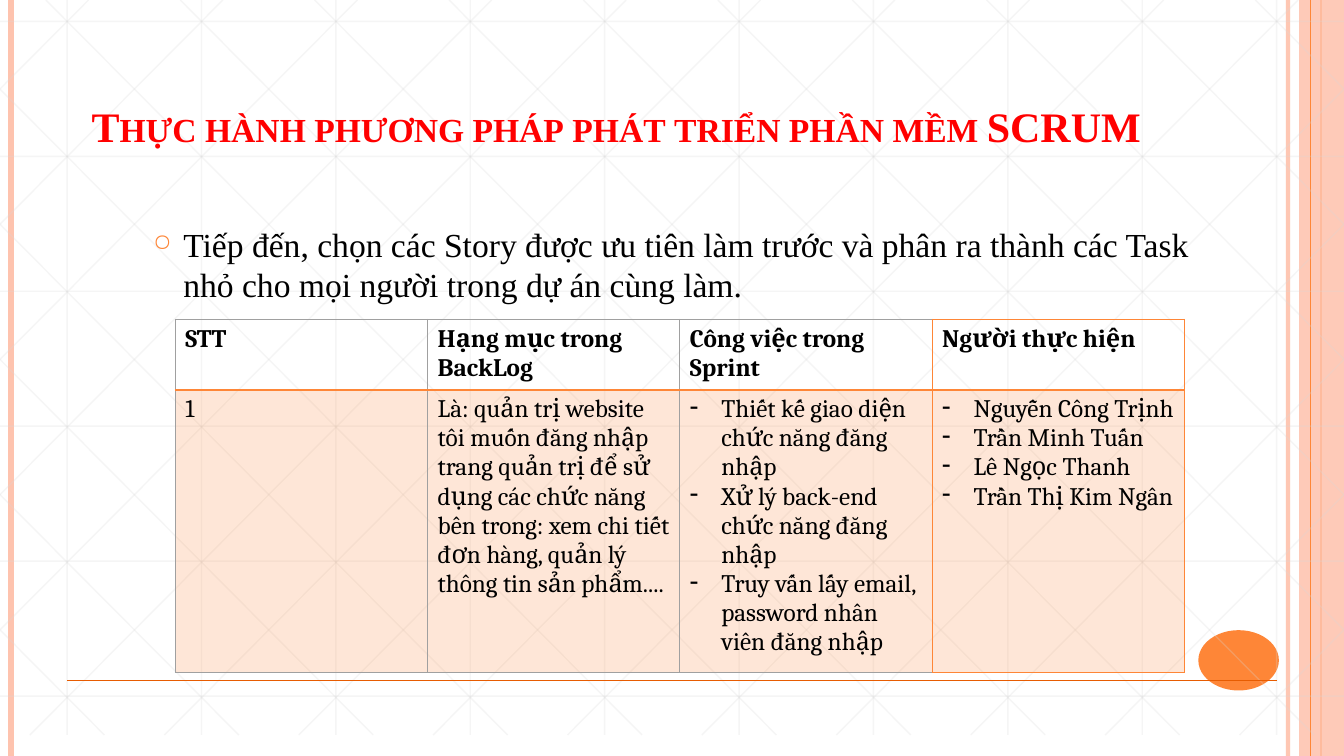
from dataclasses import dataclass

import pptx
import pptx.dml.color
import pptx.enum.shapes
import pptx.enum.text
import pptx.oxml
import pptx.oxml.ns
import pptx.util
from lxml import etree
from pptx.util import Cm, Pt

WIDTH, HEIGHT = 33.87, 19.05
ORANGE, PINK, GREY = "FE8637", "FEC3AE", "A0A0A0"
SERIF = "Times New Roman"
CELL_FONT = "Cambria"
qn = pptx.oxml.ns.qn


@dataclass
class Line:
    x1: float
    y1: float
    x2: float
    y2: float
    color: str
    width: float
    alpha: int = 100


@dataclass
class Block:
    kind: pptx.enum.shapes.MSO_SHAPE
    x: float
    y: float
    w: float
    h: float
    color: str
    alpha: int = 100


def rgb(color: str) -> pptx.dml.color.RGBColor:
    return pptx.dml.color.RGBColor.from_string(color)


def apply(obj, **values) -> None:
    for name, value in values.items():
        setattr(obj, name, value)


def set_alpha(parent, alpha: int) -> None:
    if alpha < 100:
        clr = next(parent.iter(qn("a:srgbClr")))
        etree.SubElement(clr, qn("a:alpha"), val=str(alpha * 1000))


def draw_line(s, line: Line) -> None:
    c = s.shapes.add_connector(
        pptx.enum.shapes.MSO_CONNECTOR.STRAIGHT,
        Cm(line.x1), Cm(line.y1), Cm(line.x2), Cm(line.y2))
    c.line.color.rgb = rgb(line.color)
    c.line.width = Pt(line.width)
    spPr = c._element.spPr
    set_alpha(spPr, line.alpha)
    etree.SubElement(spPr, qn("a:effectLst"))


def draw_block(s, block: Block) -> None:
    sp = s.shapes.add_shape(block.kind, Cm(block.x), Cm(block.y), Cm(block.w), Cm(block.h))
    sp.shadow.inherit = False
    sp.fill.solid()
    sp.fill.fore_color.rgb = rgb(block.color)
    sp.line.fill.background()
    set_alpha(sp._element.spPr, block.alpha)


def grid_lines() -> list[Line]:
    """Faint squares crossed by diagonals, cut at the slide edges."""
    step, bottom, slope = WIDTH / 10, 18.52, 1.006
    ends = [(1.69 + step * i, 0, 1.69 + step * i, bottom) for i in range(10)]
    ends += [(0, y, WIDTH, y) for y in (0.54 + 3.4 * i for i in range(6))]
    falling = []
    for i in range(-5, 10):
        start = 0.63 + step * i + 0.53 / slope
        x1, x2 = max(start, 0), min(start + bottom / slope, WIDTH)
        falling.append((x1, (x1 - start) * slope, x2, (x2 - start) * slope))
    ends += falling
    ends += [(WIDTH - x1, y1, WIDTH - x2, y2) for x1, y1, x2, y2 in falling]
    return [Line(*e, "D9D9D9", 1, 25) for e in ends]


def add_run(p, text: str, **font):
    r = p.add_run()
    r.text = text
    color = font.pop("color", "000000")
    apply(r.font, **font)
    r.font.color.rgb = rgb(color)
    return r


def set_bullet(p, char: str, indent: float, color: str = "", size: int = 0) -> None:
    pPr = p._p.get_or_add_pPr()
    pPr.set("marL", str(Cm(indent)))
    pPr.set("indent", str(-Cm(indent)))
    if color:
        clr = etree.SubElement(pPr, qn("a:buClr"))
        etree.SubElement(clr, qn("a:srgbClr"), val=color)
    if size:
        etree.SubElement(pPr, qn("a:buSzPct"), val=str(size * 1000))
    etree.SubElement(pPr, qn("a:buChar"), char=char)


def set_border(cell, side: str, color: str, width: float) -> None:
    ln = etree.SubElement(cell._tc.get_or_add_tcPr(), qn(f"a:ln{side}"), w=str(Pt(width)))
    fill = etree.SubElement(ln, qn("a:solidFill"))
    etree.SubElement(fill, qn("a:srgbClr"), val=color)


def fill_cell(cell, content: str | list[str], row: int, col: int) -> None:
    header = row == 0
    edge = ORANGE if col == 3 else GREY
    borders = {
        "L": (edge, 1),
        "R": (ORANGE if col >= 2 else GREY, 1),
        "T": (edge, 1) if header else (ORANGE, 2),
        "B": (ORANGE, 2) if header else (edge, 1),
    }
    for side, (color, width) in borders.items():
        set_border(cell, side, color, width)
    if header:
        cell.fill.background()
    else:
        cell.fill.solid()
        cell.fill.fore_color.rgb = rgb(ORANGE)
        set_alpha(cell._tc.tcPr.find(qn("a:solidFill")), 20)
    tf = cell.text_frame
    bulleted = isinstance(content, list)
    for i, text in enumerate(content if bulleted else [content]):
        p = tf.add_paragraph() if i else tf.paragraphs[0]
        if bulleted:
            set_bullet(p, "-", 0.79)
        add_run(p, text, name=CELL_FONT, size=Pt(18), bold=header)


SHAPES = pptx.enum.shapes.MSO_SHAPE
DECORATION = [
    Line(32.46, 0, 32.46, HEIGHT, PINK, 3, 93),
    Line(0.28, 0, 0.28, HEIGHT, PINK, 4.5),
    Line(33.3, 0, 33.3, HEIGHT, ORANGE, 1.5),
    Block(SHAPES.RECTANGLE, 32.74, 0, 1.13, HEIGHT, PINK, 87),
    Line(33.02, 0, 33.02, HEIGHT, ORANGE, 0.75),
    Block(SHAPES.OVAL, 30.2, 15.88, 2.03, 1.52, ORANGE),
    *grid_lines(),
    Line(1.7, 17.15, 32.18, 17.15, "E75C01", 1),
]
TASKS = [
    ["STT", "Hạng mục trong BackLog", "Công việc trong Sprint", "Người thực hiện"],
    ["1",
     "Là: quản trị website tôi muốn đăng nhập trang quản trị để sử dụng các chức năng "
     "bên trong: xem chi tiết đơn hàng, quản lý thông tin sản phẩm....",
     ["Thiết kế giao diện chức năng đăng nhập",
      "Xử lý back-end chức năng đăng nhập",
      "Truy vấn lấy email, password nhân viên đăng nhập"],
     ["Nguyễn Công Trịnh", "Trần Minh Tuấn", "Lê Ngọc Thanh", "Trần Thị Kim Ngân"]],
]


def main() -> None:
    prs = pptx.Presentation()
    apply(prs, slide_width=Cm(WIDTH), slide_height=Cm(HEIGHT))
    s = prs.slides.add_slide(prs.slide_layouts[5])

    # Background decoration
    for item in DECORATION:
        (draw_line if isinstance(item, Line) else draw_block)(s, item)

    # Title, brought in front of the decoration
    title = s.shapes.title
    s.shapes._spTree.append(title._element)
    apply(title, left=Cm(1.7), top=Cm(0.76), width=Cm(27.66), height=Cm(3.18))
    tf = title.text_frame
    apply(tf, word_wrap=True, auto_size=pptx.enum.text.MSO_AUTO_SIZE.NONE,
          vertical_anchor=pptx.enum.text.MSO_ANCHOR.BOTTOM)
    p = tf.paragraphs[0]
    p.alignment = pptx.enum.text.PP_ALIGN.CENTER
    r = add_run(p, "Thực hành phương pháp phát triển phần mềm SCRUM",
                name=SERIF, size=Pt(30), bold=True, color="FF0000")
    r._r.get_or_add_rPr().set("cap", "small")

    # Introduction
    tf = s.shapes.add_textbox(Cm(3.61), Cm(5.51), Cm(26.67), Cm(2.54)).text_frame
    tf.word_wrap = True
    p = tf.paragraphs[0]
    p.space_before = Pt(6)
    set_bullet(p, "○", 0.76, ORANGE, 70)
    add_run(p, "Tiếp đến, chọn các Story được ưu tiên làm trước và phân ra thành các Task "
               "nhỏ cho mọi người trong dự án cùng làm.", name=SERIF, size=Pt(24))

    # Task table
    tbl = s.shapes.add_table(2, 4, Cm(4.42), Cm(8.05), Cm(25.43), Cm(8.56)).table
    apply(tbl, first_row=False, horz_banding=False)
    for row, height in zip(tbl.rows, (1.7, 6.86)):
        row.height = Cm(height)
    for i, contents in enumerate(TASKS):
        for j, content in enumerate(contents):
            fill_cell(tbl.cell(i, j), content, i, j)

    prs.save("out.pptx")


if __name__ == "__main__":
    main()
